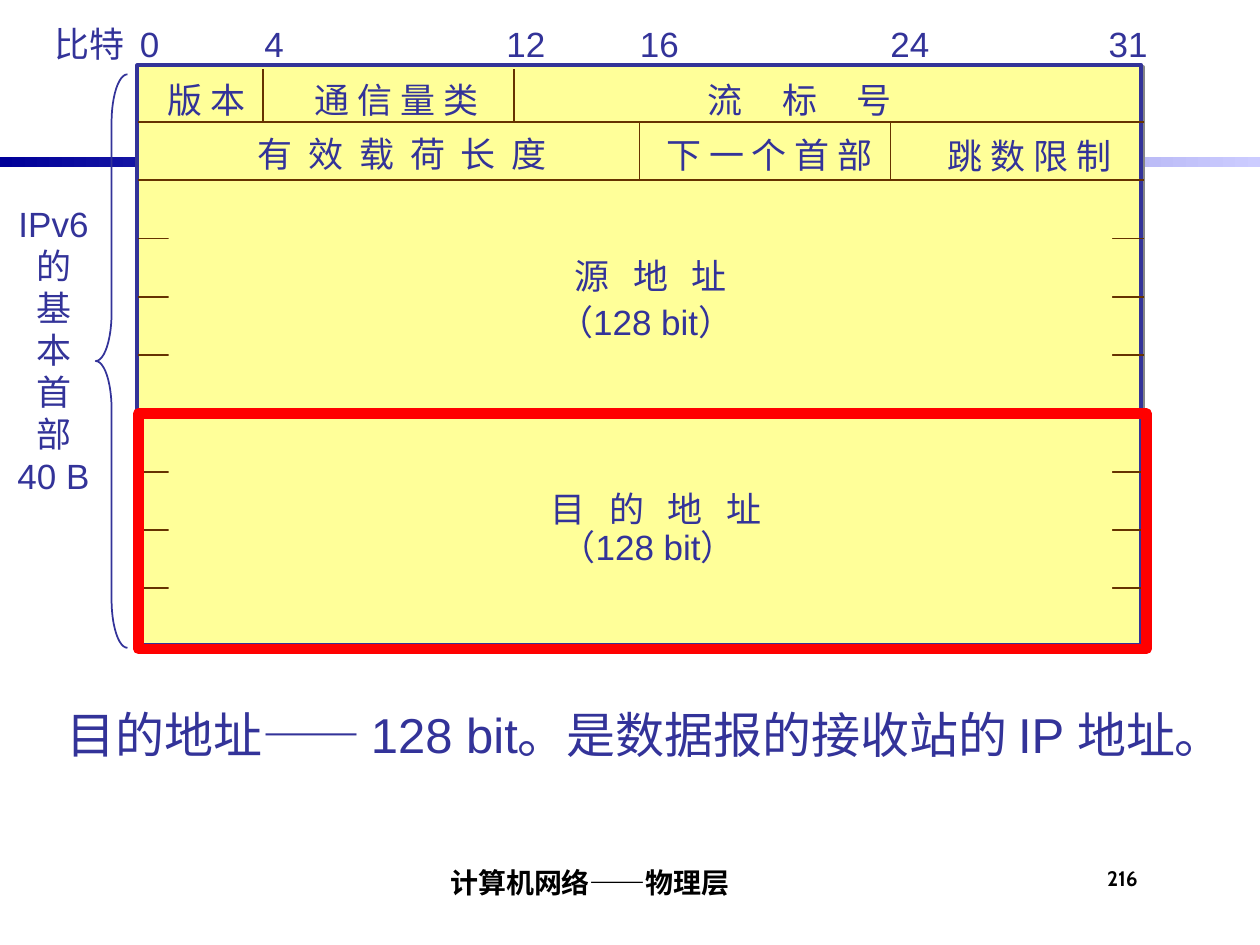
from lxml.etree import SubElement
from pptx import Presentation
from pptx.dml.color import RGBColor
from pptx.enum.shapes import MSO_CONNECTOR, MSO_SHAPE
from pptx.enum.text import MSO_ANCHOR as Anchor, MSO_AUTO_SIZE as AutoSize, PP_ALIGN as Align
from pptx.oxml.ns import qn
from pptx.util import Cm, Pt

COLORS = {"ink": "333399", "paper": "FFFF99", "rule": "663300", "mark": "FF0000",
          "shade": "868686", "pale": "CCCCFF", "deep": "000099", "black": "000000"}

# Bit label: text, left, width (cm from the header's left edge)
BIT_LABELS = [("比特", -1.93, 1.93), ("0", -0.2, 0.89), ("4", 2.31, 0.89), ("12", 7.19, 1.3),
              ("16", 9.88, 1.3), ("24", 14.93, 1.3), ("31", 19.33, 1.3)]

# Field: text, left, top, width (cm from the header's corner), letter spacing in points
FIELDS = [("版 本", 0.36, 0.13, 2.08, 0), ("通 信 量 类", 3.33, 0.13, 3.81, 0),
          ("流 标 号", 11.25, 0.13, 4.22, 9),
          ("有 效 载 荷 长 度", 2.18, 1.22, 6.32, 2.25),
          ("下 一 个 首 部", 10.41, 1.25, 4.67, 0), ("跳 数 限 制", 16.08, 1.27, 3.81, 0),
          ("源 地 址", 8.56, 3.68, 3.58, 4.5), ("（128 bit）", 8.23, 4.62, 4.37, 0),
          ("目 的 地 址", 8.08, 8.38, 4.75, 4.5), ("（128 bit）", 8.28, 9.14, 4.37, 0)]

FIRST_ROW, ROW = 1.14, 1.175  # first rule below the top edge, then the row pitch


def rgb(name):
    return RGBColor.from_string(COLORS[name])


def add_text(page, lines, left, top, width, height=1.09, size=20, font="Arial", color="ink",
             bold=False, align=Align.LEFT, wrap=False, spacing=0, line_spacing=None):
    """Place a text box; letter spacing also trails the last letter, so the box widens by it."""
    box = page.shapes.add_textbox(Cm(left), Cm(top), Cm(width) + Pt(spacing), Cm(height))
    frame = box.text_frame
    frame.word_wrap = wrap
    frame.auto_size = AutoSize.SHAPE_TO_FIT_TEXT
    for index, line in enumerate(lines):
        para = frame.paragraphs[0] if index == 0 else frame.add_paragraph()
        para.alignment = align
        para.line_spacing = line_spacing
        para.font.size, para.font.name, para.font.bold = Pt(size), font, bold
        para.font.color.rgb = rgb(color)
        span = para.add_run()
        span.text = line
        if spacing:
            span._r.get_or_add_rPr().set("spc", str(int(spacing * 100)))
    return frame


def add_block(page, left, top, width, height, fill=None, line=None, weight=1,
              kind=MSO_SHAPE.RECTANGLE):
    block = page.shapes.add_shape(kind, Cm(left), Cm(top), Cm(width), Cm(height))
    block.shadow.inherit = False
    if fill:
        block.fill.solid()
        block.fill.fore_color.rgb = rgb(fill)
    else:
        block.fill.background()
    if line:
        block.line.color.rgb = rgb(line)
        block.line.width = Pt(weight)
    else:
        block.line.fill.background()
    return block


def add_rule(page, x1, y1, x2, y2):
    rule = page.shapes.add_connector(MSO_CONNECTOR.STRAIGHT, Cm(x1), Cm(y1), Cm(x2), Cm(y2))
    rule.line.color.rgb = rgb("rule")
    rule.line.width = Pt(1)
    SubElement(rule._element.spPr, qn("a:effectLst"))


def add_band(page, left, top, width, height):
    band = add_block(page, left, top, width, height)
    band.fill.gradient()
    band.fill.gradient_angle = 180
    for stop, name in zip(band.fill.gradient_stops, ("pale", "deep")):
        stop.color.rgb = rgb(name)


def add_drop_shadow(block):
    effects = block._element.spPr.find(qn("a:effectLst"))
    shadow = SubElement(effects, qn("a:outerShdw"), blurRad="0", dist=str(Pt(1.4)),
                        dir="2700000", algn="ctr", rotWithShape="0")
    SubElement(shadow, qn("a:srgbClr"), val=COLORS["shade"])


def add_header(page, left, top, width, height):
    """The 32-bit-wide header layout with its scale, rules and field names."""
    add_drop_shadow(add_block(page, left, top, width, height, "paper", "ink", 2.25))

    def row_y(number):
        return top + FIRST_ROW + number * ROW

    # Row rules; the two address areas hide their middles
    for number in range(9):
        add_rule(page, left + 0.02, row_y(number), left + width + 0.06, row_y(number))
    for number in (1, 5):
        add_block(page, left + 0.63, row_y(number) + 0.8, 19.02, 3.13, "paper")

    # Field dividers at their bit positions
    for bit, start, end in ((4, top + 0.08, row_y(0)), (12, top + 0.08, row_y(0)),
                            (16, row_y(0), row_y(1)), (24, row_y(0), row_y(1))):
        x = left + width * bit / 32
        add_rule(page, x, start, x, end)

    for text, x, label_width in BIT_LABELS:
        add_text(page, [text], left + x, top - 0.99, label_width)
    for text, x, y, field_width, spacing in FIELDS:
        add_text(page, [text], left + x, top + y, field_width, spacing=spacing)

    # Frame around the destination address
    add_block(page, left + 0.02, row_y(5), 20.32, 4.75, line="mark", weight=6)


def add_size_brace(page, left, top, width, height):
    """Brace with the header's name and length stacked to its left."""
    brace = add_block(page, left, top, width, height, line="ink", kind=MSO_SHAPE.LEFT_BRACE)
    brace.adjustments[0] = 1.52
    add_text(page, ["IPv6", *"的基本首部", "40 B"], left - 1.83, top + 2.46, 1.96, 7.01,
             align=Align.CENTER)


def add_footer(page, left, top, width, height):
    frame = add_text(page, ["计算机网络——物理层"], left, top, width, height, 16, "Cabin",
                     "black", True, Align.CENTER, wrap=True)
    frame.auto_size = AutoSize.NONE
    frame.vertical_anchor = Anchor.BOTTOM
    frame.margin_left = frame.margin_bottom = Cm(0.1)
    frame.margin_right = frame.margin_top = 0
    number = add_text(page, ["216"], left + 16.94, top + 0.2, 1.47, height, 12, "Cabin",
                      "black", True, wrap=True)
    number.auto_size = AutoSize.NONE
    number.margin_left = number.margin_top = Cm(0.1)
    number.margin_right = number.margin_bottom = 0


def main():
    deck = Presentation()
    deck.slide_width, deck.slide_height = Cm(25.4), Cm(19.05)
    page = deck.slides.add_slide(deck.slide_layouts[6])
    add_band(page, 0, 3.17, 25.4, 0.2)
    add_header(page, 2.77, 1.32, 20.24, 11.68)
    add_size_brace(page, 1.93, 1.5, 0.64, 11.56)
    add_text(page, ["目的地址—— 128 bit。是数据报的接收站的 IP 地址。"], 1.09, 14.02, 24, 2.74,
             size=28, wrap=True, line_spacing=1.05)
    add_footer(page, 5.28, 17.15, 13.13, 1.07)
    deck.save("out.pptx")


if __name__ == "__main__":
    main()
